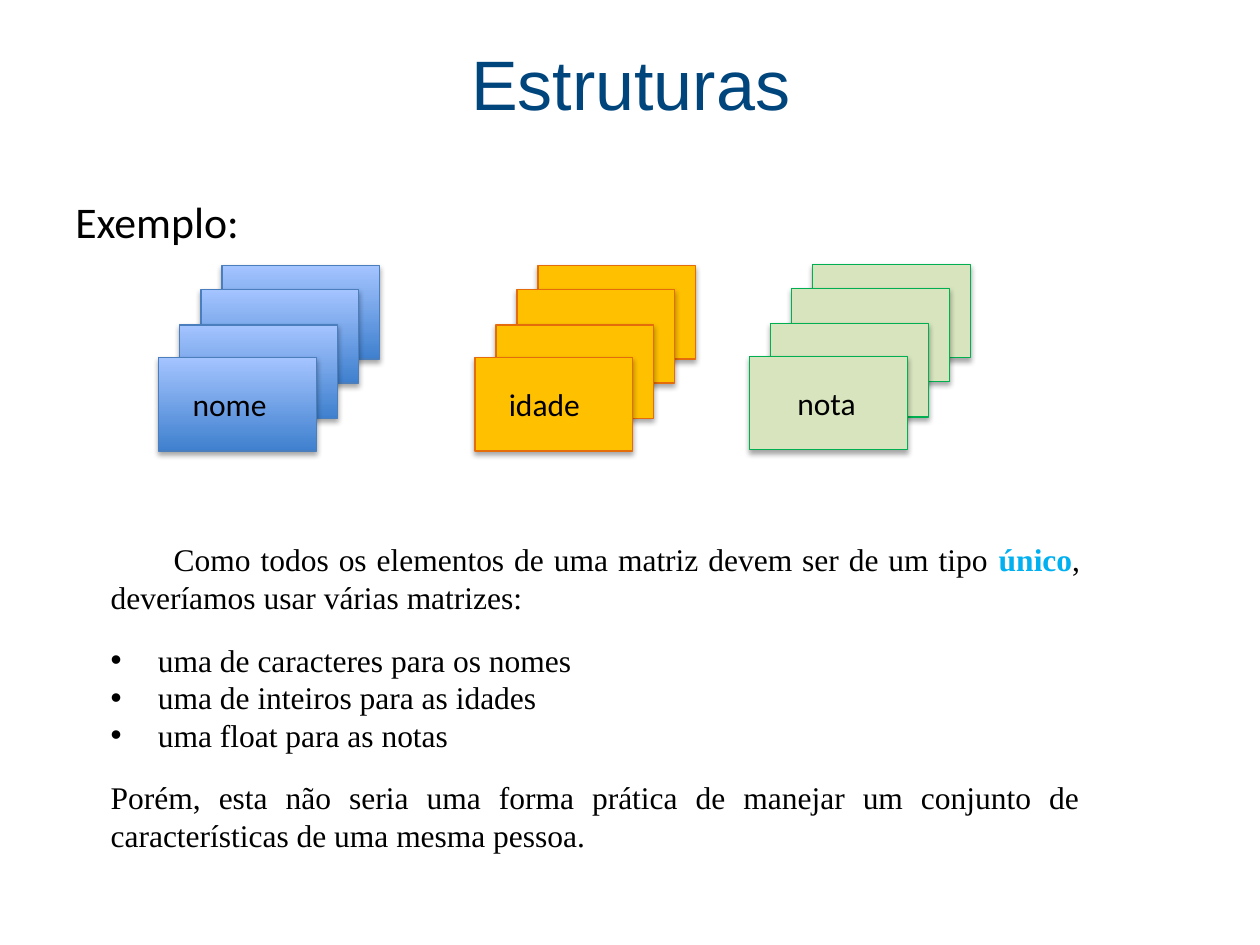
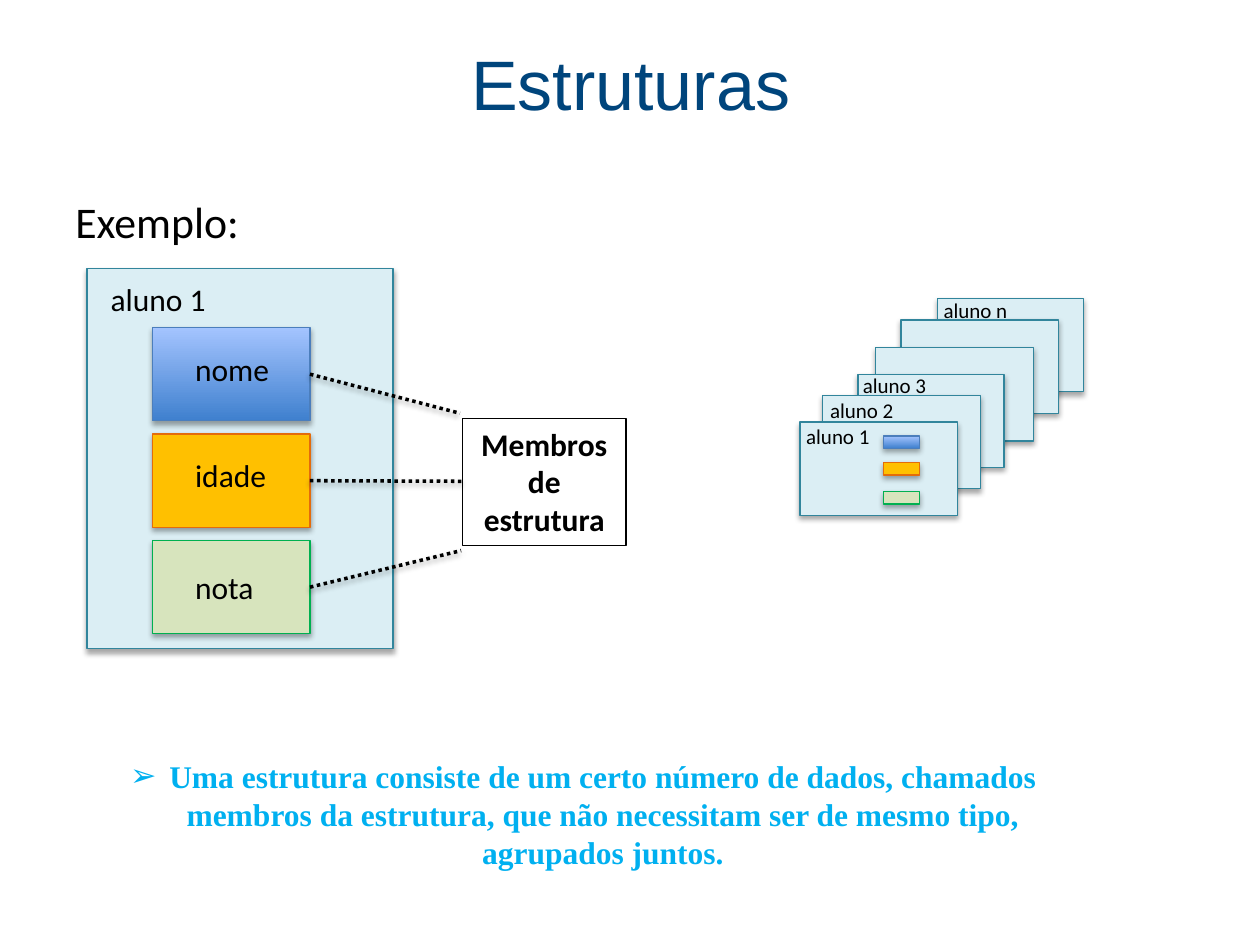
from dataclasses import dataclass
from typing import NamedTuple, Optional

from lxml import etree
from pptx import Presentation
from pptx.dml.color import RGBColor
from pptx.enum.dml import MSO_LINE
from pptx.enum.shapes import MSO_CONNECTOR, MSO_SHAPE
from pptx.enum.text import MSO_ANCHOR, PP_ALIGN
from pptx.oxml.ns import qn
from pptx.util import Inches, Pt

RECTANGLE = MSO_SHAPE.RECTANGLE
STRAIGHT = MSO_CONNECTOR.STRAIGHT
DOTTED = MSO_LINE.ROUND_DOT
MIDDLE = MSO_ANCHOR.MIDDLE
CENTER = PP_ALIGN.CENTER
JUSTIFY = PP_ALIGN.JUSTIFY

SLIDE_WIDTH = Inches(10)
SLIDE_HEIGHT = Inches(7.5)
COLUMNS = 100
ROWS = 75
TITLE_ONLY = 5


@dataclass(frozen=True)
class Theme:
    black: str = "000000"
    title: str = "00457C"
    accent: str = "00B0F0"
    title_font: str = "Arial"
    label_font: str = "Calibri"
    body_font: str = "Times New Roman"
    title_size: float = 40
    heading_size: float = 25
    body_size: float = 18
    small_size: float = 12
    outline: float = 0.75
    dotted_line: float = 2


class Style(NamedTuple):
    fill: tuple[str, ...]
    line: str


class Box(NamedTuple):
    column: float
    row: float
    width: float
    height: float


@dataclass(frozen=True)
class Field:
    name: str
    style: Style
    stack_front: tuple[float, float]
    stack_label_shift: float
    member_label_row: float
    swatch_row: float
    link_end: tuple[float, float]


@dataclass(frozen=True)
class Card:
    column: float
    row: float
    width: float
    label: str = ""
    label_column: float = 0
    label_row: float = 0


THEME = Theme()
STUDENT = Style(("DBEEF4",), "31859C")
FIELDS = (
    Field("nome", Style(("3F80CE", "A4C4FF"), "4B7EBC"),
          (12.6, 28.4), 1.7, 27.3, 34.6, (36.5, 32.8)),
    Field("idade", Style(("FFC000",), "E46C0A"),
          (37.7, 28.4), 1.7, 35.7, 36.7, (36.7, 38.2)),
    Field("nota", Style(("D7E4BD",), "00B050"),
          (59.5, 28.3), 2.8, 44.6, 39, (36.6, 43.7)),
)
CARDS = (
    Card(74.4, 23.7, 11.6, "aluno n", 73.9, 23.1),
    Card(71.5, 25.4, 12.5),
    Card(69.5, 27.6, 12.5),
    Card(68.1, 29.7, 11.6, "aluno 3", 67.5, 29.1),
    Card(65.3, 31.4, 12.5, "aluno 2", 64.9, 31.1),
    Card(63.5, 33.5, 12.5, "aluno 1", 63, 33.1),
)
CARD_WIDTH, CARD_HEIGHT = 12.5, 7.4
LABEL_WIDTH, LABEL_HEIGHT = 8.6, 4
STACK_STEP = 1.67
STACK_RISES = (7.3, 5.4, 2.6, 0)
MEMBER_COLUMN, MEMBER_ROW, MEMBER_PITCH = 12.1, 26, 8.45


def across(columns: float) -> int:
    return round(SLIDE_WIDTH * columns / COLUMNS)


def down(rows: float) -> int:
    return round(SLIDE_HEIGHT * rows / ROWS)


def place(box: Box) -> tuple[int, int, int, int]:
    return across(box.column), down(box.row), across(box.width), down(box.height)


def color(value: str) -> RGBColor:
    return RGBColor.from_string(value)


def add_shadow(shape, opacity: int) -> None:
    effects = etree.SubElement(shape.element.spPr, qn("a:effectLst"))
    shadow = etree.SubElement(effects, qn("a:outerShdw"), blurRad="40000",
                              dist="23000", dir="5400000", rotWithShape="0")
    tint = etree.SubElement(shadow, qn("a:srgbClr"), val=THEME.black)
    etree.SubElement(tint, qn("a:alpha"), val=str(opacity * 1000))


def add_card(slide, box: Box, style: Style) -> None:
    shape = slide.shapes.add_shape(RECTANGLE, *place(box))
    if len(style.fill) > 1:
        shape.fill.gradient()
        shape.fill.gradient_angle = 90
        for stop, value in zip(shape.fill.gradient_stops, style.fill):
            stop.color.rgb = color(value)
    else:
        shape.fill.solid()
        shape.fill.fore_color.rgb = color(style.fill[0])
    shape.line.color.rgb = color(style.line)
    shape.line.width = Pt(THEME.outline)
    add_shadow(shape, 35)


def write_text(paragraph, text: str, *, font: str = THEME.label_font,
               size: float = THEME.body_size, ink: str = THEME.black,
               bold: bool = False, align=None, spacing: Optional[float] = None,
               after: float = 0, margin: float = 0, indent: float = 0,
               bullet: str = "") -> None:
    run = paragraph.add_run()
    run.text = text
    run.font.name = font
    run.font.size = Pt(size)
    run.font.bold = bold
    run.font.color.rgb = color(ink)
    if align is not None:
        paragraph.alignment = align
    if spacing:
        paragraph.line_spacing = spacing
    if after:
        paragraph.space_after = Pt(after)
    properties = paragraph._p.get_or_add_pPr()
    if margin or indent:
        properties.set("marL", str(across(margin)))
        properties.set("indent", str(across(indent)))
    if bullet:
        etree.SubElement(properties, qn("a:buFont"), typeface=THEME.title_font)
        etree.SubElement(properties, qn("a:buChar"), char=bullet)


def add_text_box(slide, box: Box, line: str = ""):
    shape = slide.shapes.add_textbox(*place(box))
    shape.text_frame.word_wrap = True
    if line:
        shape.line.color.rgb = color(line)
        shape.line.width = Pt(THEME.outline)
    return shape.text_frame


def add_label(slide, text: str, box: Box, line: str = "", **text_format) -> None:
    frame = add_text_box(slide, box, line)
    write_text(frame.paragraphs[0], text, **text_format)


def add_dotted_link(slide, start: tuple[float, float], end: tuple[float, float]) -> None:
    connector = slide.shapes.add_connector(
        STRAIGHT, across(start[0]), down(start[1]), across(end[0]), down(end[1]))
    connector.line.color.rgb = color(THEME.black)
    connector.line.width = Pt(THEME.dotted_line)
    connector.line.dash_style = DOTTED
    add_shadow(connector, 38)


def start_slide(presentation):
    slide = presentation.slides.add_slide(presentation.slide_layouts[TITLE_ONLY])
    title = slide.shapes.title
    title.left, title.top, title.width, title.height = place(Box(3.5, 0.3, 93.1, 12.5))
    title.text_frame.vertical_anchor = MIDDLE
    write_text(title.text_frame.paragraphs[0], "Estruturas", font=THEME.title_font,
               size=THEME.title_size, ink=THEME.title, align=CENTER)
    add_label(slide, "Exemplo:", Box(5, 12.9, 90, 7), size=THEME.heading_size, spacing=1.5)
    return slide


def add_stack(slide, field: Field) -> None:
    column, row = field.stack_front
    last = len(STACK_RISES) - 1
    for index, rise in enumerate(STACK_RISES):
        add_card(slide, Box(column + (last - index) * STACK_STEP, row - rise,
                            CARD_WIDTH, CARD_HEIGHT), field.style)
    add_label(slide, field.name, Box(column + field.stack_label_shift, row + 1.7,
                                     LABEL_WIDTH, LABEL_HEIGHT))


def build_arrays_slide(presentation) -> None:
    slide = start_slide(presentation)
    for field in FIELDS:
        add_stack(slide, field)
    frame = add_text_box(slide, Box(7.8, 42.4, 78.9, 26.3))
    body = dict(font=THEME.body_font, align=JUSTIFY)
    opening = frame.paragraphs[0]
    write_text(opening, "Como todos os elementos de uma matriz devem ser de um tipo ",
               indent=5, after=14, **body)
    write_text(opening, "único", ink=THEME.accent, bold=True, **body)
    write_text(opening, ", deveríamos usar várias matrizes:", **body)
    items = ("uma de caracteres para os nomes", "uma de inteiros para as idades",
             "uma float para as notas")
    for item in items:
        write_text(frame.add_paragraph(), item, margin=3.75, indent=-3.75, bullet="•",
                   after=14 if item == items[-1] else 0, **body)
    write_text(frame.add_paragraph(),
               "Porém, esta não seria uma forma prática de manejar um conjunto de "
               "características de uma mesma pessoa.", **body)


def add_student_cards(slide) -> None:
    for card in CARDS:
        add_card(slide, Box(card.column, card.row, card.width, CARD_HEIGHT), STUDENT)
    for card in CARDS:
        if card.label:
            add_label(slide, card.label, Box(card.label_column, card.label_row, 11.7, 3),
                      size=THEME.small_size)
    for field in FIELDS:
        add_card(slide, Box(70.1, field.swatch_row, 2.9, 1), field.style)


def add_student_record(slide) -> None:
    add_card(slide, Box(6.9, 21.3, 24.3, 30.2), STUDENT)
    add_label(slide, "aluno 1", Box(7.8, 21.7, 11.7, LABEL_HEIGHT))
    for index, field in enumerate(FIELDS):
        row = MEMBER_ROW + index * MEMBER_PITCH
        add_card(slide, Box(MEMBER_COLUMN, row, CARD_WIDTH, CARD_HEIGHT), field.style)
        add_label(slide, field.name, Box(MEMBER_COLUMN + 2.4, field.member_label_row,
                                         LABEL_WIDTH, LABEL_HEIGHT))
        add_dotted_link(slide, (MEMBER_COLUMN + CARD_WIDTH, row + CARD_HEIGHT / 2),
                        field.link_end)


def build_structure_slide(presentation) -> None:
    slide = start_slide(presentation)
    add_student_cards(slide)
    add_label(slide, "Membros de estrutura", Box(36.7, 33.2, 13, 10.1),
              line=THEME.black, bold=True, align=CENTER)
    add_label(slide, "Uma estrutura consiste de um certo número de dados, chamados "
              "membros da estrutura, que não necessitam ser de mesmo tipo, "
              "agrupados juntos.", Box(5.7, 59.6, 81.2, 10.1), font=THEME.body_font,
              ink=THEME.accent, bold=True, align=CENTER, margin=3.1, indent=-3.1, bullet="➢")
    add_student_record(slide)


def main() -> None:
    presentation = Presentation()
    presentation.slide_width = SLIDE_WIDTH
    presentation.slide_height = SLIDE_HEIGHT
    build_arrays_slide(presentation)
    build_structure_slide(presentation)
    presentation.save("out.pptx")


if __name__ == "__main__":
    main()
